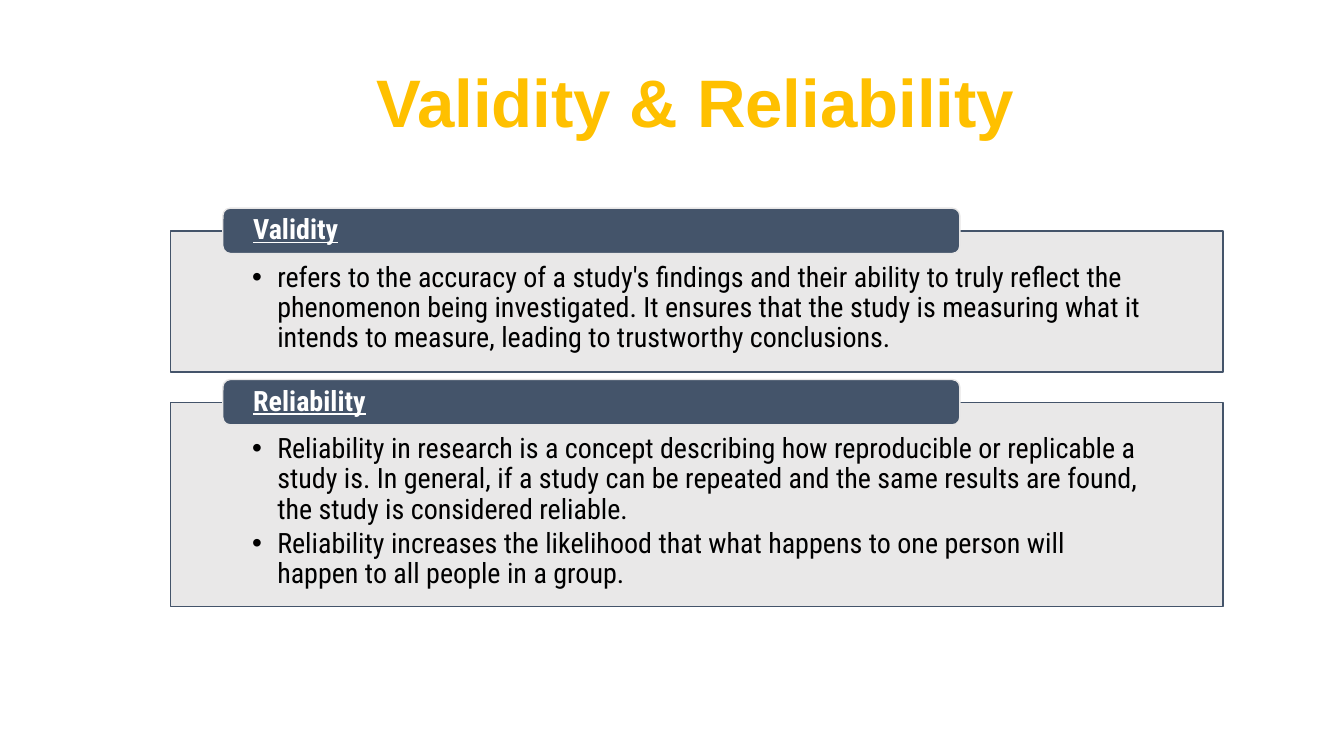
from lxml.etree import SubElement
from pptx import Presentation
from pptx.dml.color import RGBColor
from pptx.enum.shapes import MSO_SHAPE
from pptx.enum.text import MSO_ANCHOR, MSO_AUTO_SIZE, PP_ALIGN
from pptx.oxml.ns import qn
from pptx.util import Inches, Pt

NAVY, GREY, GOLD = "44546A", "E7E6E6", "FFC000"
BODY_FONT = "Roboto Condensed"
PANEL_LEFT, PANEL_WIDTH = 1.69, 10.44
HEADER_LEFT, HEADER_WIDTH, HEADER_HEIGHT = 2.21, 7.31, 0.45

# Heading, panel top, panel height, bullets
SECTIONS = [
    ("Validity", 2.29, 1.4, [
        "refers to the accuracy of a study's findings and their ability to truly "
        "reflect the phenomenon being investigated. It ensures that the study is "
        "measuring what it intends to measure, leading to trustworthy conclusions.",
    ]),
    ("Reliability", 3.99, 2.03, [
        "Reliability in research is a concept describing how reproducible or "
        "replicable a study is. In general, if a study can be repeated and the "
        "same results are found, the study is considered reliable.",
        "Reliability increases the likelihood that what happens to one person "
        "will happen to all people in a group.",
    ]),
]


def rgb(color):
    return RGBColor.from_string(color)


def place(sp, left, top, width, height):
    sp.left, sp.top = Inches(left), Inches(top)
    sp.width, sp.height = Inches(width), Inches(height)


def paint(sp, fill, line):
    sp.fill.solid()
    sp.fill.fore_color.rgb = rgb(fill)
    sp.line.color.rgb = rgb(line)
    sp.line.width = Pt(1)


def set_frame(tf, side, top, bottom, anchor):
    tf.word_wrap = True
    tf.auto_size = MSO_AUTO_SIZE.NONE
    tf.vertical_anchor = anchor
    tf.margin_left = tf.margin_right = Inches(side)
    tf.margin_top, tf.margin_bottom = Inches(top), Inches(bottom)


def add_text(p, text, size, font, color, bold=False, underline=False,
             align=PP_ALIGN.LEFT, after=0):
    p.alignment = align
    p.line_spacing = 0.9
    p.space_before, p.space_after = Pt(0), Pt(after)
    r = p.add_run()
    r.text = text
    r.font.size, r.font.name = Pt(size), font
    r.font.bold, r.font.underline = bold, underline
    r.font.color.rgb = rgb(color)


def set_bullet(p):
    pPr = p._p.get_or_add_pPr()
    pPr.set("marL", str(Inches(0.25)))
    pPr.set("indent", str(-Inches(0.25)))
    SubElement(pPr, qn("a:buFont")).set("typeface", "Arial")
    SubElement(pPr, qn("a:buChar")).set("char", "•")


def add_title(s, text):
    sp = s.shapes.title
    place(sp, 2.51, 0.55, 8.78, 0.99)
    set_frame(sp.text_frame, 0.2, 0.2, 0.2, MSO_ANCHOR.MIDDLE)
    add_text(sp.text_frame.paragraphs[0], text, 48, "Arial", GOLD,
             bold=True, align=PP_ALIGN.CENTER)


def fill_panel(sp, top, height, bullets):
    place(sp, PANEL_LEFT, top, PANEL_WIDTH, height)
    paint(sp, GREY, NAVY)
    # Slightly transparent fill
    color = sp._element.spPr.find(qn("a:solidFill"))[0]
    SubElement(color, qn("a:alpha")).set("val", "90000")
    tf = sp.text_frame
    set_frame(tf, 0.81, 0.32, 0.16, MSO_ANCHOR.TOP)
    for i, text in enumerate(bullets):
        p = tf.add_paragraph() if i else tf.paragraphs[0]
        add_text(p, text, 20, BODY_FONT, "000000", after=3)
        set_bullet(p)


def add_header(s, text, panel_top):
    # The header straddles the top edge of its panel
    sp = s.shapes.add_shape(
        MSO_SHAPE.ROUNDED_RECTANGLE, Inches(HEADER_LEFT),
        Inches(panel_top - HEADER_HEIGHT / 2), Inches(HEADER_WIDTH),
        Inches(HEADER_HEIGHT))
    sp.shadow.inherit = False
    paint(sp, NAVY, GREY)
    set_frame(sp.text_frame, 0.28, 0, 0, MSO_ANCHOR.MIDDLE)
    add_text(sp.text_frame.paragraphs[0], text, 20, BODY_FONT, "FFFFFF",
             bold=True, underline=True)


def main():
    prs = Presentation()
    prs.slide_width, prs.slide_height = Inches(13.33), Inches(7.5)
    # Two Content layout: a title and two body placeholders
    s = prs.slides.add_slide(prs.slide_layouts[3])
    add_title(s, "Validity & Reliability")
    for idx, (heading, top, height, bullets) in enumerate(SECTIONS, 1):
        fill_panel(s.placeholders[idx], top, height, bullets)
        add_header(s, heading, top)
    prs.save("out.pptx")


if __name__ == "__main__":
    main()
